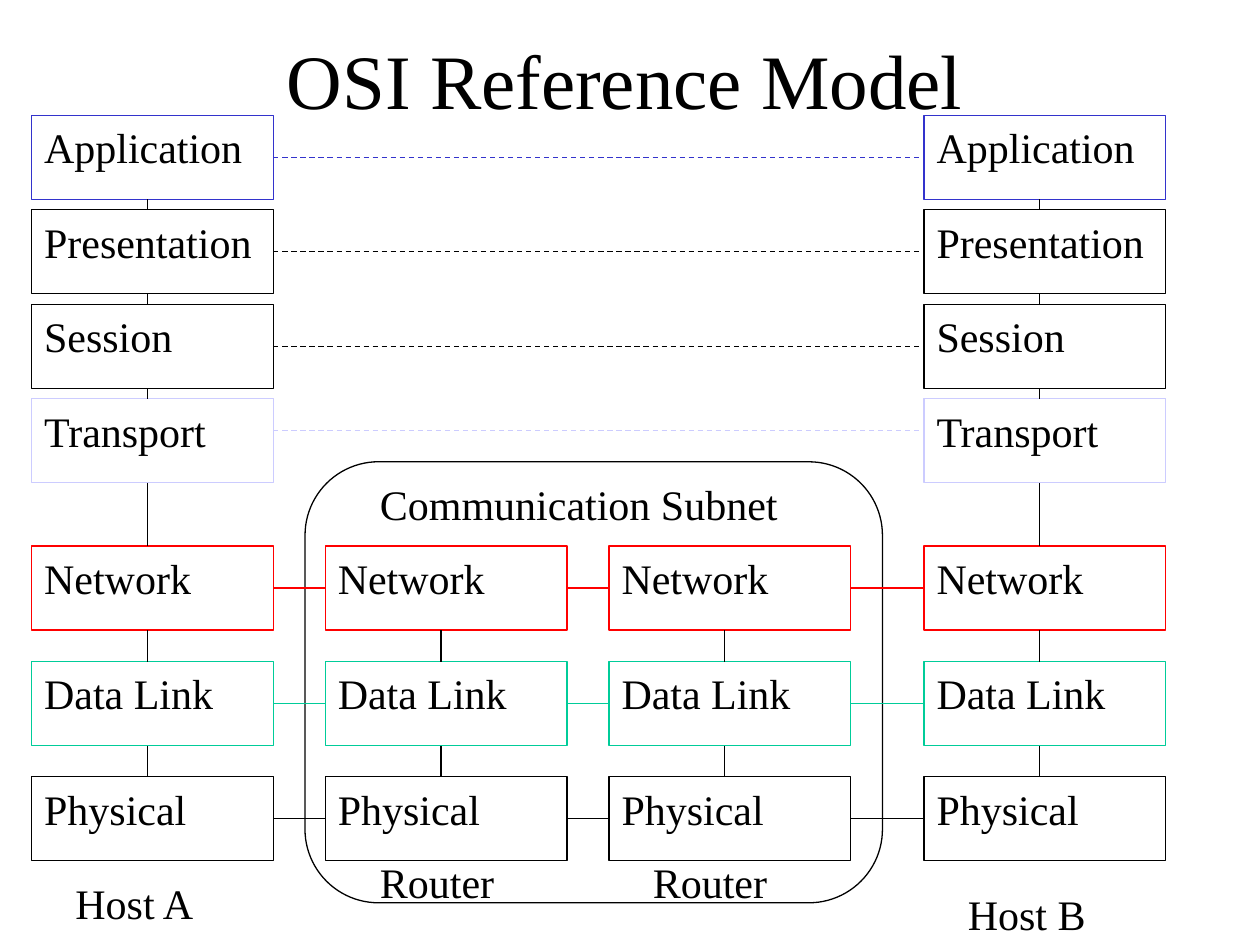
from dataclasses import dataclass
from itertools import pairwise

import pptx
import pptx.dml.color
import pptx.enum.dml
import pptx.enum.shapes
import pptx.enum.text
import pptx.oxml
import pptx.shapes.autoshape
import pptx.shapes.connector
import pptx.slide
import pptx.util

Cm = pptx.util.Cm
Pt = pptx.util.Pt
RGBColor = pptx.dml.color.RGBColor
Shape = pptx.shapes.autoshape.Shape
Slide = pptx.slide.Slide
Connector = pptx.shapes.connector.Connector
PresetShape = pptx.enum.shapes.MSO_SHAPE
Anchor = pptx.enum.text.MSO_ANCHOR
Align = pptx.enum.text.PP_ALIGN

BLACK = RGBColor(0x00, 0x00, 0x00)
BLUE = RGBColor(0x33, 0x33, 0xCC)
LAVENDER = RGBColor(0xCC, 0xCC, 0xFF)
RED = RGBColor(0xFF, 0x00, 0x00)
GREEN = RGBColor(0x00, 0xCC, 0x99)

FONT_NAME = "Times New Roman"
LINE_WIDTH = Pt(0.75)
BOX_WIDTH = Cm(4.87)
BOX_HEIGHT = Cm(1.69)
STACK_LINE_OFFSET = Cm(2.33)
TRANSPORT_LINK_Y = Cm(8.68)
LEFT_SIDE, RIGHT_SIDE = 1, 3

HOST_COLUMNS = [Cm(0.64), Cm(18.63)]
ROUTER_COLUMNS = [Cm(6.56), Cm(12.28)]


@dataclass(frozen=True)
class Layer:
    name: str
    top: pptx.util.Length
    color: RGBColor
    in_routers: bool = False

    @property
    def columns(self) -> list[pptx.util.Length]:
        return sorted(HOST_COLUMNS + (ROUTER_COLUMNS if self.in_routers else []))


@dataclass(frozen=True)
class Label:
    text: str
    left: pptx.util.Length
    top: pptx.util.Length
    width: pptx.util.Length = Cm(3.6)
    height: pptx.util.Length = Cm(1.27)
    size: pptx.util.Length = Pt(24)
    align: Align = Align.LEFT
    anchor: Anchor = Anchor.TOP


LAYERS = [
    Layer("Application", Cm(2.33), BLUE),
    Layer("Presentation", Cm(4.23), BLACK),
    Layer("Session", Cm(6.14), BLACK),
    Layer("Transport", Cm(8.04), LAVENDER),
    Layer("Network", Cm(11.01), RED, True),
    Layer("Data Link", Cm(13.34), GREEN, True),
    Layer("Physical", Cm(15.66), BLACK, True),
]

LABELS = [
    Label("OSI Reference Model", Cm(4.45), Cm(0), Cm(16.3), Cm(3.18),
          Pt(44), Align.CENTER, Anchor.MIDDLE),
    Label("Communication Subnet", Cm(7.41), Cm(9.53), Cm(9.1)),
    Label("Host A", Cm(1.27), Cm(17.57)),
    Label("Router", Cm(7.41), Cm(17.15)),
    Label("Router", Cm(12.91), Cm(17.15)),
    Label("Host B", Cm(19.26), Cm(17.78)),
]


def write_text(shape: Shape, text: str, size: pptx.util.Length = Pt(24),
               align: Align = Align.LEFT, anchor: Anchor = Anchor.TOP) -> None:
    frame = shape.text_frame
    frame.word_wrap = True
    frame.vertical_anchor = anchor
    paragraph = frame.paragraphs[0]
    paragraph.text = text
    paragraph.alignment = align
    paragraph.font.name = FONT_NAME
    paragraph.font.size = size
    paragraph.font.color.rgb = BLACK


def add_label(slide: Slide, label: Label) -> None:
    box = slide.shapes.add_textbox(label.left, label.top, label.width, label.height)
    write_text(box, label.text, label.size, label.align, label.anchor)


def add_outline(slide: Slide, preset: PresetShape, left: int, top: int,
                width: int, height: int, color: RGBColor) -> Shape:
    shape = slide.shapes.add_shape(preset, left, top, width, height)
    shape.shadow.inherit = False
    shape.fill.background()
    shape.line.color.rgb = color
    shape.line.width = LINE_WIDTH
    return shape


def add_layer_box(slide: Slide, layer: Layer, left: int) -> Shape:
    box = add_outline(slide, PresetShape.RECTANGLE, left, layer.top,
                      BOX_WIDTH, BOX_HEIGHT, layer.color)
    write_text(box, layer.name)
    return box


def add_line(slide: Slide, start: tuple[int, int], end: tuple[int, int],
             color: RGBColor) -> Connector:
    line = slide.shapes.add_connector(
        pptx.enum.shapes.MSO_CONNECTOR.STRAIGHT, *start, *end)
    line.line.color.rgb = color
    line.line.width = LINE_WIDTH
    properties = line._element.spPr
    properties.append(pptx.oxml.parse_xml(
        '<a:effectLst xmlns:a="http://schemas.openxmlformats.org/drawingml/2006/main"/>'))
    return line


def add_peer_link(slide: Slide, layer: Layer, left_box: Shape, right_box: Shape) -> None:
    at_middle = layer.name != "Transport"
    y = layer.top + BOX_HEIGHT // 2 if at_middle else TRANSPORT_LINK_Y
    link = add_line(slide, (left_box.left + BOX_WIDTH, y), (right_box.left, y), layer.color)
    if at_middle:
        link.begin_connect(left_box, RIGHT_SIDE)
        link.end_connect(right_box, LEFT_SIDE)
    if not layer.in_routers:
        link.line.dash_style = pptx.enum.dml.MSO_LINE.DASH


def main() -> None:
    presentation = pptx.Presentation()
    presentation.slide_width = Cm(25.4)
    presentation.slide_height = Cm(19.05)
    slide = presentation.slides.add_slide(presentation.slide_layouts[6])

    add_outline(slide, PresetShape.FLOWCHART_ALTERNATE_PROCESS,
                Cm(6.15), Cm(9.31), Cm(11.64), Cm(8.89), BLACK)
    for label in LABELS:
        add_label(slide, label)

    for layer in LAYERS:
        boxes = [add_layer_box(slide, layer, left) for left in layer.columns]
        for left_box, right_box in pairwise(boxes):
            add_peer_link(slide, layer, left_box, right_box)

    for upper, lower in pairwise(LAYERS):
        for left in upper.columns:
            x = left + STACK_LINE_OFFSET
            add_line(slide, (x, lower.top), (x, upper.top + BOX_HEIGHT), BLACK)

    presentation.save("out.pptx")


if __name__ == "__main__":
    main()
